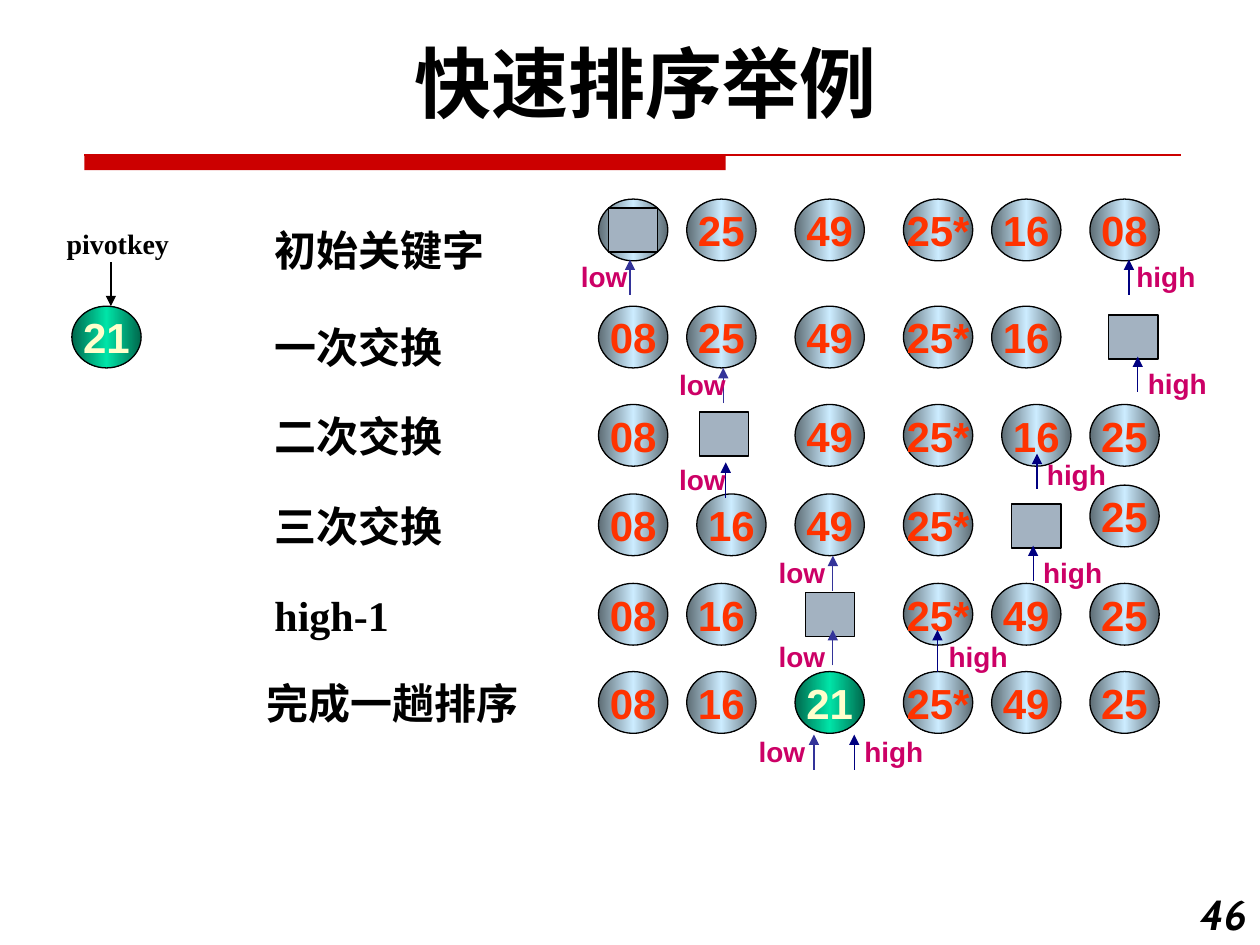
from copy import deepcopy

from pptx import Presentation
from pptx.dml.color import RGBColor
from pptx.enum.shapes import MSO_CONNECTOR, MSO_SHAPE
from pptx.enum.text import MSO_ANCHOR, MSO_AUTO_SIZE, PP_ALIGN
from pptx.oxml.ns import qn
from pptx.util import Inches, Pt

OVAL, RECT = MSO_SHAPE.OVAL, MSO_SHAPE.RECTANGLE
STRAIGHT = MSO_CONNECTOR.STRAIGHT
TOP, MIDDLE = MSO_ANCHOR.TOP, MSO_ANCHOR.MIDDLE
LEFT, CENTER, RIGHT = PP_ALIGN.LEFT, PP_ALIGN.CENTER, PP_ALIGN.RIGHT

THEME = {
    "ink": "000000", "rule": "CC0000", "gap": "A3B2C1", "marker": "CC0066",
    "low": "333399", "high": "000080",
    "key": (("5D6C74", "CCECFF", "5D6C74"), "FF3300"),
    "pivot": (("00684C", "00E4A8", "00684C"), "FFFFCC"),
    "title_font": "Cabin", "label_font": "Times New Roman", "key_font": "Arial",
    "title_size": 44, "body_size": 24, "small_size": 16, "line": 0.75,
}

TITLE, PAGE = "快速排序举例", "46"
GAP = None
COLUMNS = (4.75, 5.45, 6.31, 7.17, 7.87, 8.65)
# label, label left, label top, row top, keys
ROWS = [
    ("初始关键字", 2.08, 1.73, 1.58, ("21", "25", "49", "25*", "16", "08")),
    ("一次交换", 2.08, 2.5, 2.43, ("08", "25", "49", "25*", "16", GAP)),
    ("二次交换", 2.08, 3.21, 3.21, ("08", GAP, "49", "25*", "16", "25")),
    ("三次交换", 2.08, 3.92, 3.92, ("08", "16", "49", "25*", GAP, "25")),
    ("high-1", 2.08, 4.63, 4.63, ("08", "16", GAP, "25*", "49", "25")),
    ("完成一趟排序", 2.02, 5.33, 5.33, ("08", "16", "21", "25*", "49", "25")),
]
# (row, column): shift off the grid
NUDGES = {(1, 5): (0.07, 0), (2, 1): (0.02, -0.01), (2, 4): (0.08, 0),
          (3, 1): (0.08, 0), (3, 4): (0.08, 0.01), (3, 5): (0, -0.07)}
PIVOT_CELL = (5, 2)
# label, label left, label top, arrow x, arrow tip, arrow length, arrow colour
MARKERS = [
    ("low", 4.61, 2.06, 5, 2.06, 0.28, "low"),
    ("high", 9.02, 2.06, 8.96, 2.06, 0.28, "high"),
    ("low", 5.39, 2.92, 5.74, 2.92, 0.28, "low"),
    ("high", 9.11, 2.91, 9.03, 2.83, 0.28, "high"),
    ("low", 5.39, 3.67, 5.76, 3.67, 0.28, "high"),
    ("high", 8.31, 3.63, 8.23, 3.6, 0.28, "high"),
    ("low", 6.18, 4.41, 6.61, 4.41, 0.28, "low"),
    ("high", 8.28, 4.41, 8.2, 4.33, 0.28, "high"),
    ("low", 6.18, 5.08, 6.61, 5, 0.28, "low"),
    ("high", 7.53, 5.08, 7.44, 5, 0.33, "high"),
    ("low", 6.02, 5.83, 6.46, 5.83, 0.28, "low"),
    ("high", 6.86, 5.83, 6.78, 5.83, 0.28, "high"),
]
MARKER_WIDTH = {"low": 0.38, "high": 0.47}
KEY_SIZE = (0.55, 0.49)
GAP_SIZE, GAP_INSET = (0.39, 0.35), (0.08, 0.07)


def rgb(name):
    return RGBColor.from_string(THEME.get(name, name))


def write(tf, text, size, font, color, align=LEFT):
    tf.text = text
    p = tf.paragraphs[0]
    p.alignment = align
    p.space_before = Pt(0)
    f = p.runs[0].font
    f.size, f.name, f.bold = Pt(THEME[size]), THEME[font], True
    f.color.rgb = rgb(color)
    return f


def add_text(slide, box, text, size, font, color="ink", align=LEFT, tight=False):
    """Add a text box; a tight one has no margins and does not wrap."""
    tf = slide.shapes.add_textbox(*map(Inches, box)).text_frame
    tf.word_wrap = not tight
    if tight:
        tf.margin_left = tf.margin_right = tf.margin_top = tf.margin_bottom = 0
    return write(tf, text, size, font, color, align)


def add_outlined(slide, kind, left, top, size):
    sp = slide.shapes.add_shape(kind, *map(Inches, (left, top, *size)))
    sp.shadow.inherit = False
    sp.line.color.rgb = rgb("ink")
    sp.line.width = Pt(THEME["line"])
    return sp


def add_key(slide, left, top, text, style="key"):
    colors, ink = THEME[style]
    sp = add_outlined(slide, OVAL, left, top, KEY_SIZE)
    sp.fill.gradient()
    sp.fill.gradient_angle = 0
    stops = sp.element.spPr.find(qn("a:gradFill")).find(qn("a:gsLst"))
    stops.append(deepcopy(stops[0]))
    for stop, position, color in zip(sp.fill.gradient_stops, (0, 0.5, 1), colors):
        stop.position = position
        stop.color.rgb = rgb(color)
    tf = sp.text_frame
    tf.word_wrap = False
    tf.vertical_anchor = MIDDLE
    write(tf, text, "body_size", "key_font", ink, CENTER)


def add_gap(slide, left, top):
    sp = add_outlined(slide, RECT, left + GAP_INSET[0], top + GAP_INSET[1], GAP_SIZE)
    sp.fill.solid()
    sp.fill.fore_color.rgb = rgb("gap")


def add_line(slide, start, end, color, arrow=True):
    line = slide.shapes.add_connector(STRAIGHT, *map(Inches, (*start, *end)))
    line.line.color.rgb = rgb(color)
    line.line.width = Pt(THEME["line"])
    spPr = line.element.spPr
    if arrow:
        ln = spPr.find(qn("a:ln"))
        ln.append(ln.makeelement(qn("a:tailEnd"), {"type": "triangle"}))
    spPr.append(spPr.makeelement(qn("a:effectLst"), {}))


def add_heading(slide):
    title = slide.shapes.title
    title.left, title.top, title.width, title.height = map(
        Inches, (0.5, 0.23, 9.25, 0.84))
    tf = title.text_frame
    tf.auto_size = MSO_AUTO_SIZE.NONE
    tf.vertical_anchor = TOP
    write(tf, TITLE, "title_size", "title_font", "ink", CENTER)
    bar = slide.shapes.add_shape(RECT, *map(Inches, (0.67, 1.23, 5.09, 0.12)))
    bar.shadow.inherit = False
    bar.fill.solid()
    bar.fill.fore_color.rgb = rgb("rule")
    bar.line.fill.background()
    add_line(slide, (0.67, 1.23), (9.37, 1.23), "rule", arrow=False)


def add_rows(slide):
    for row, (label, label_left, label_top, row_top, keys) in enumerate(ROWS):
        add_text(slide, (label_left, label_top, 2.59, 0.5), label,
                 "body_size", "label_font")
        for col, key in enumerate(keys):
            dx, dy = NUDGES.get((row, col), (0, 0))
            left, top = COLUMNS[col] + dx, row_top + dy
            if key is GAP:
                add_gap(slide, left, top)
            else:
                style = "pivot" if (row, col) == PIVOT_CELL else "key"
                add_key(slide, left, top, key, style)
    add_gap(slide, COLUMNS[0], ROWS[0][3])


def add_markers(slide):
    for label, left, top, x, tip, length, color in MARKERS:
        add_line(slide, (x, tip + length), (x, tip), color)
        add_text(slide, (left, top, MARKER_WIDTH[label], 0.27), label,
                 "small_size", "key_font", "marker", tight=True)


def main():
    prs = Presentation()
    prs.slide_width, prs.slide_height = Inches(10), Inches(7.5)
    slide = prs.slides.add_slide(prs.slide_layouts[5])
    add_heading(slide)
    add_rows(slide)
    add_markers(slide)
    add_text(slide, (0.35, 1.75, 1.17, 0.37), "pivotkey",
             "small_size", "label_font", align=CENTER)
    add_line(slide, (0.88, 2.08), (0.88, 2.43), "ink")
    add_key(slide, 0.57, 2.43, "21", "pivot")
    add_text(slide, (9.33, 7, 0.67, 0.5), PAGE, "body_size", "title_font",
             align=RIGHT).italic = True
    prs.save("out.pptx")


if __name__ == "__main__":
    main()
